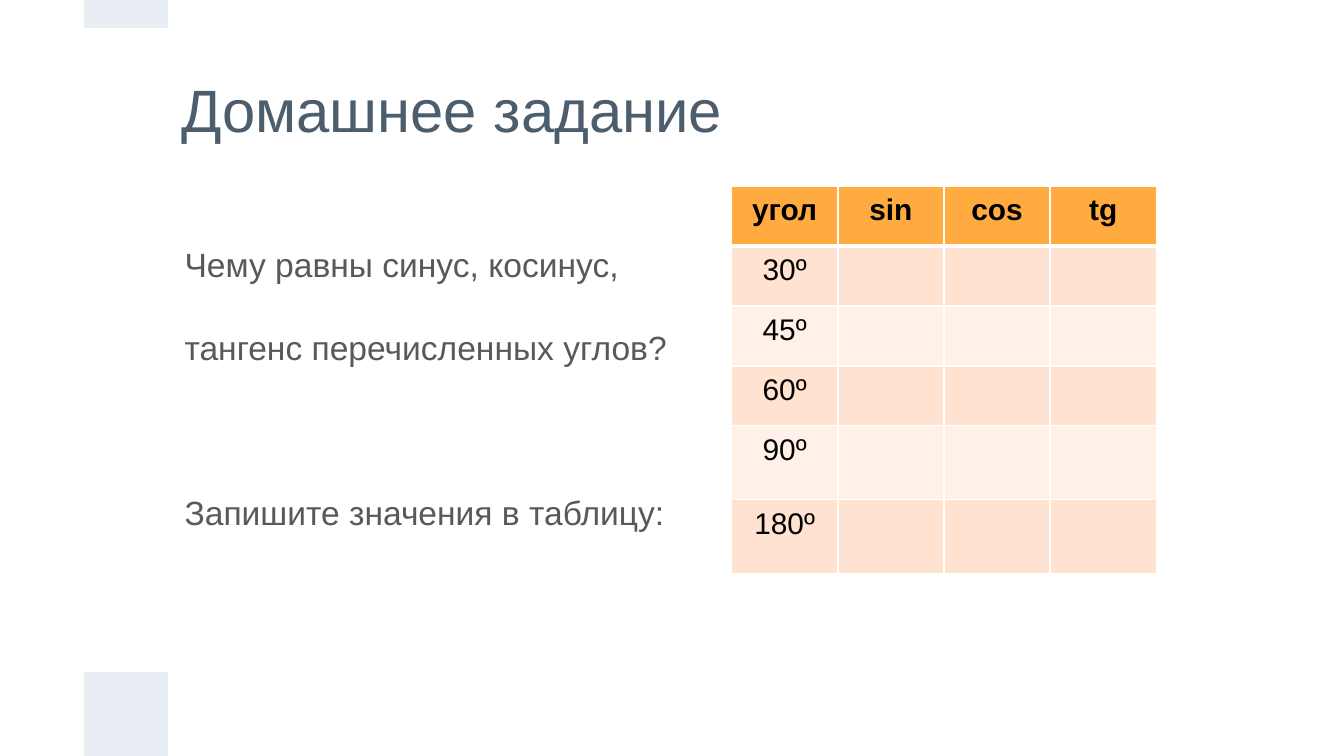
import pptx
import pptx.util
import pptx.dml.color
import pptx.enum.shapes
import pptx.enum.text
import pptx.oxml
import pptx.oxml.ns

Pt = pptx.util.Pt
FONT = "Arial"
COLORS = {
    "title": "4C5D6E", "body": "595959", "cell": "000000", "accent": "E9EDF4",
    "header": "FFAB40", "odd": "FFE2CF", "even": "FFF1E8", "border": "FFFFFF",
}
TITLE = "Домашнее задание"
QUESTION = "Чему равны синус, косинус,\vтангенс перечисленных углов?"
TASK = "Запишите значения в таблицу:"
HEADERS = ["угол", "sin", "cos", "tg"]
ANGLES = ["30º", "45º", "60º", "90º", "180º"]
ROW_HEIGHTS = [32.1] * 4 + [39.6] * 2
COLUMN_WIDTH = 56.9
LINE_PITCH = 43.2
ACCENT_BLOCKS = [(45, 360, 45, 45), (45, 0, 45, 15)]


def rgb(name):
    """Return the named colour."""
    return pptx.dml.color.RGBColor.from_string(COLORS[name])


def style(paragraph, size, color, bold=False):
    """Set the font of a whole paragraph."""
    font = paragraph.font
    font.name, font.size, font.bold = FONT, Pt(size), bold
    font.color.rgb = rgb(color)


def add_text(slide, box, paragraphs, size, color, anchor):
    """Add a wrapping text box and return its paragraphs."""
    frame = slide.shapes.add_textbox(*map(Pt, box)).text_frame
    frame.word_wrap = True
    frame.vertical_anchor = anchor
    frame.margin_left = frame.margin_right = Pt(7.2)
    frame.margin_top = frame.margin_bottom = Pt(7.2)
    for index, text in enumerate(paragraphs):
        paragraph = frame.add_paragraph() if index else frame.paragraphs[0]
        paragraph.text = text
        style(paragraph, size, color)
    return frame.paragraphs


def set_borders(cell, row):
    """Draw the cell borders, thicker below the header."""
    widths = {"L": 1, "R": 1, "T": 3 if row == 1 else 1, "B": 3 if row == 0 else 1}
    properties = cell._tc.get_or_add_tcPr()
    for index, (side, width) in enumerate(widths.items()):
        properties.insert(index, pptx.oxml.parse_xml(
            f'<a:ln{side} {pptx.oxml.ns.nsdecls("a")} w="{Pt(width)}"><a:solidFill>'
            f'<a:srgbClr val="{COLORS["border"]}"/></a:solidFill></a:ln{side}>'))


def add_angle_table(slide):
    """Add the table of angles with empty cells for the values."""
    rows = [HEADERS] + [[angle] + [""] * (len(HEADERS) - 1) for angle in ANGLES]
    table = slide.shapes.add_table(
        len(rows), len(HEADERS), Pt(391.9), Pt(99.7),
        Pt(COLUMN_WIDTH * len(HEADERS)), Pt(sum(ROW_HEIGHTS))).table
    for column in table.columns:
        column.width = Pt(COLUMN_WIDTH)
    for row, texts in enumerate(rows):
        table.rows[row].height = Pt(ROW_HEIGHTS[row])
        fill = "header" if row == 0 else "odd" if row % 2 else "even"
        for column, text in enumerate(texts):
            cell = table.cell(row, column)
            cell.fill.solid()
            cell.fill.fore_color.rgb = rgb(fill)
            cell.margin_left = cell.margin_right = Pt(8.6)
            cell.margin_top = cell.margin_bottom = Pt(4.3)
            set_borders(cell, row)
            paragraph = cell.text_frame.paragraphs[0]
            paragraph.text = text
            paragraph.alignment = pptx.enum.text.PP_ALIGN.CENTER
            style(paragraph, 16, "cell", bold=row == 0)


def build():
    """Build and save the homework slide."""
    presentation = pptx.Presentation()
    presentation.slide_width, presentation.slide_height = Pt(720), Pt(405)
    slide = presentation.slides.add_slide(presentation.slide_layouts[6])
    anchors = pptx.enum.text.MSO_ANCHOR

    for box in ACCENT_BLOCKS:
        block = slide.shapes.add_shape(
            pptx.enum.shapes.MSO_SHAPE.RECTANGLE, *map(Pt, box))
        block.shadow.inherit = False
        block.fill.solid()
        block.fill.fore_color.rgb = rgb("accent")
        block.line.fill.background()

    add_text(slide, (90, 35.3, 605.5, 45.4), [TITLE], 32, "title", anchors.MIDDLE)
    body = add_text(slide, (82.8, 100, 321.8, 206.6), [QUESTION, TASK],
                    18, "body", anchors.TOP)
    for paragraph in body:
        paragraph.line_spacing = 2.08
        paragraph._p.get_or_add_pPr().set("marL", str(Pt(9)))
    body[1].space_before = Pt(LINE_PITCH)

    add_angle_table(slide)
    presentation.save("out.pptx")


build()
